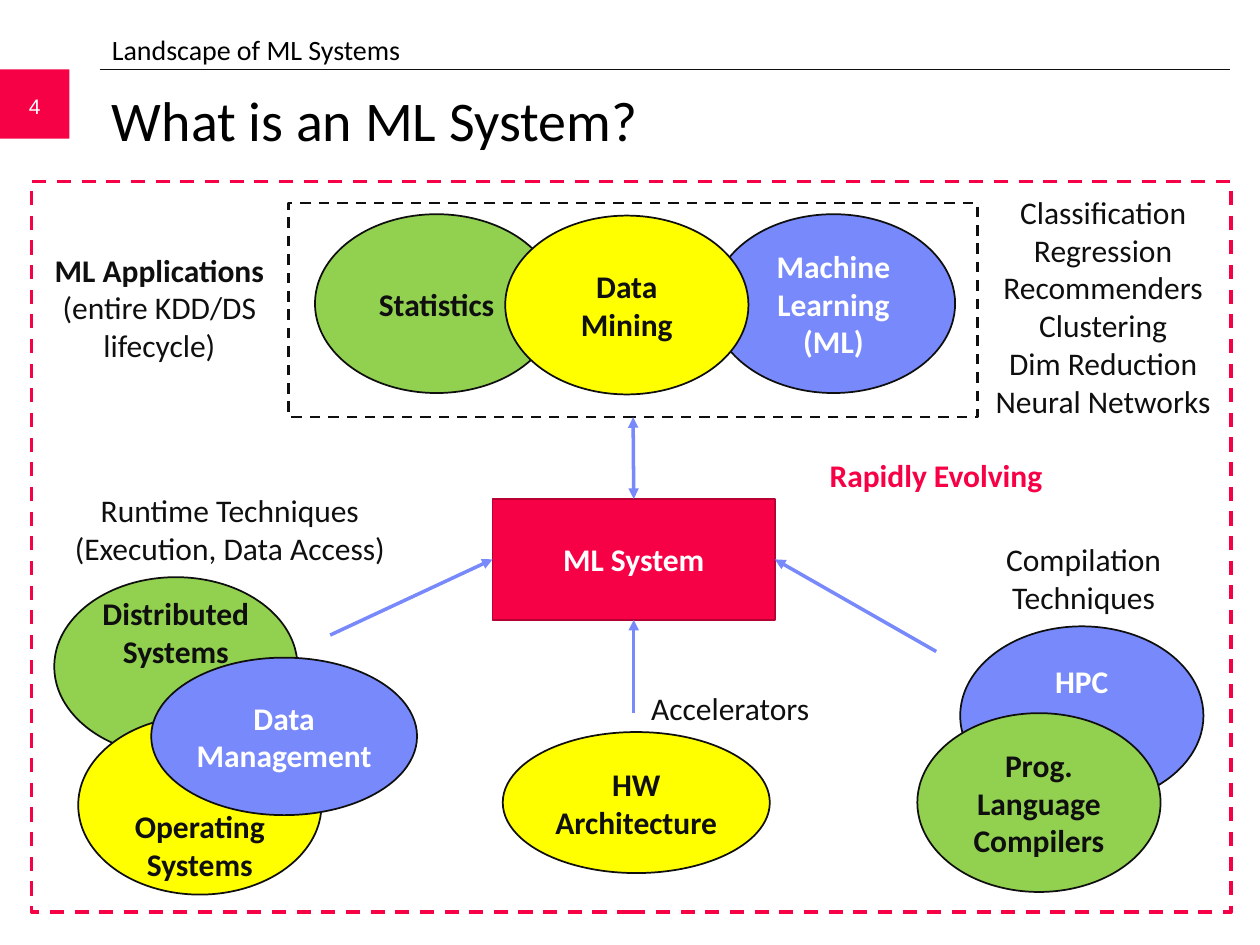
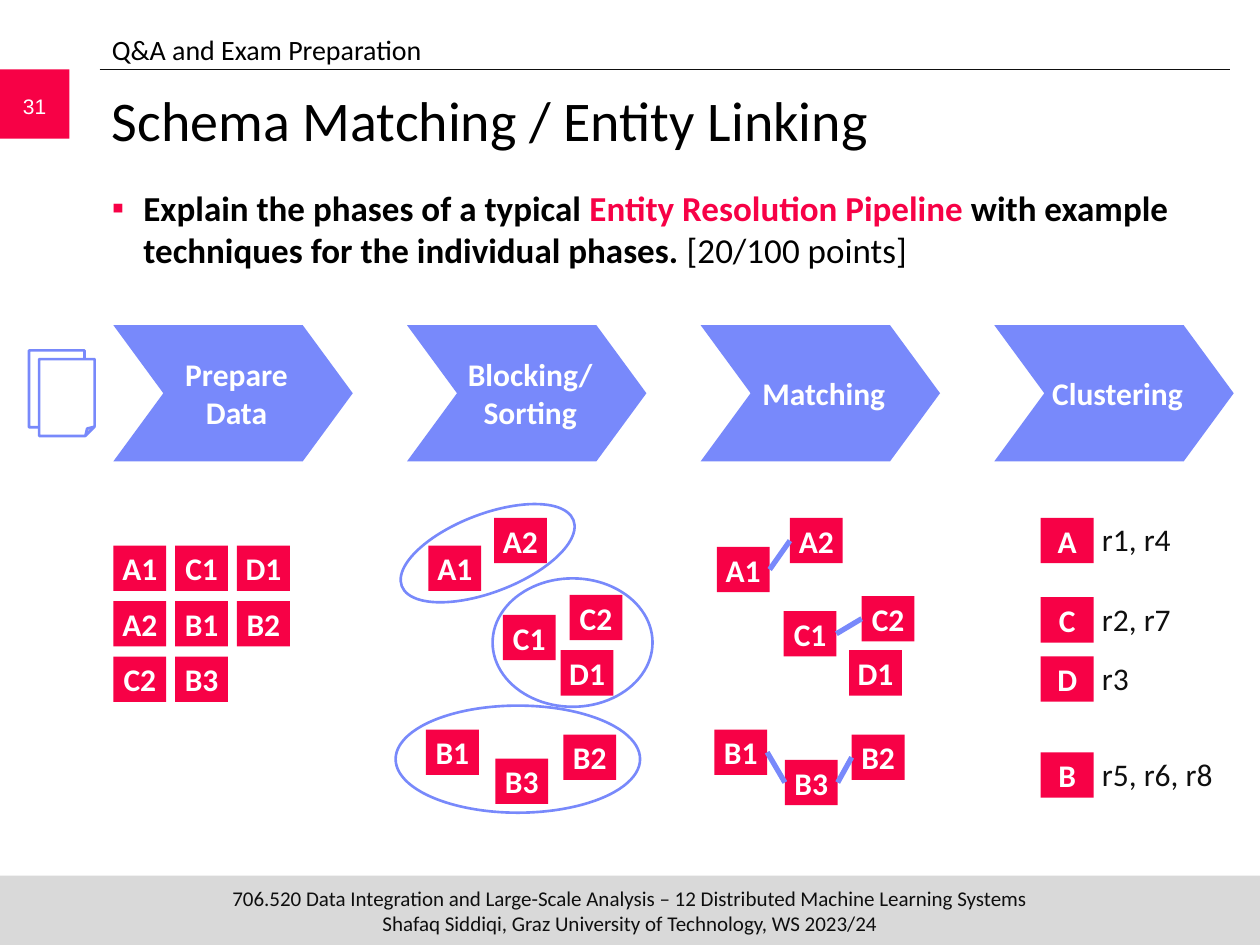
from collections import namedtuple

from lxml.etree import SubElement
from pptx import Presentation
from pptx.dml.color import RGBColor
from pptx.enum.dml import MSO_LINE
from pptx.enum.shapes import MSO_CONNECTOR, MSO_SHAPE
from pptx.enum.text import MSO_ANCHOR, PP_ALIGN
from pptx.oxml.ns import qn
from pptx.util import Pt

COLORS = {
    "red": "F70146", "dark_red": "B70134", "blue": "7889FB", "green": "92D050",
    "yellow": "FFFF00", "ink": "0F0F0F", "black": "000000", "white": "FFFFFF",
    "band": "D9D9D9",
}
FONT = "Calibri"
TOP, BOTTOM, LEFT, RIGHT = 0, 2, 1, 3
FOOTER = ("706.520 Data Integration and Large-Scale Analysis – 12 Distributed Machine Learning Systems\n"
          "Shafaq Siddiqi, Graz University of Technology, WS 2023/24")
OVAL = (139, 102.2)
CHIP = (30.2, 25.9)


class Box(namedtuple("Box", "x y w h")):
    def sub(self, x, y, w, h):
        return Box(self.x + x, self.y + y, w, h)

    def points(self):
        return [Pt(value) for value in self]


def rgb(name):
    return RGBColor.from_string(COLORS[name])


def write(shape, text, size=18, color="ink", bold=False, align=PP_ALIGN.CENTER,
          anchor=MSO_ANCHOR.MIDDLE, insets=(7.2, 3.6, 7.2, 3.6), font=FONT):
    frame = shape.text_frame
    frame.word_wrap = True
    frame.vertical_anchor = anchor
    (frame.margin_left, frame.margin_top,
     frame.margin_right, frame.margin_bottom) = [Pt(inset) for inset in insets]
    frame.text = text
    for paragraph in frame.paragraphs:
        paragraph.alignment = align
        paragraph.font.name = font
        paragraph.font.size = Pt(size)
        paragraph.font.bold = bold
        paragraph.font.color.rgb = rgb(color)
    return frame


def add_label(slide, box, text, **style):
    style.setdefault("anchor", MSO_ANCHOR.TOP)
    return write(slide.shapes.add_textbox(*box.points()), text, **style)


def add_figure(slide, kind, box, fill=None, line=None, width=1, dashed=False):
    figure = slide.shapes.add_shape(kind, *box.points())
    figure.shadow.inherit = False
    if fill:
        figure.fill.solid()
        figure.fill.fore_color.rgb = rgb(fill)
    else:
        figure.fill.background()
    if line:
        figure.line.color.rgb = rgb(line)
        figure.line.width = Pt(width)
        if dashed:
            figure.line.dash_style = MSO_LINE.DASH
    else:
        figure.line.fill.background()
    return figure


def add_line(slide, start=(0, 0), end=(0, 0), color="blue", width=2, joins=(None, None), heads=()):
    line = slide.shapes.add_connector(MSO_CONNECTOR.STRAIGHT, *[Pt(v) for v in (*start, *end)])
    line.line.color.rgb = rgb(color)
    line.line.width = Pt(width)
    for join, connect in zip(joins, (line.begin_connect, line.end_connect)):
        if join:
            connect(*join)
    properties = line._element.spPr
    for head in heads:
        SubElement(properties.find(qn("a:ln")), qn("a:" + head), type="triangle")
    SubElement(properties, qn("a:effectLst"))


def add_topic(slide, box, text, fill, insets=(0, 3.6, 0, 3.6)):
    oval = add_figure(slide, MSO_SHAPE.OVAL, box, fill, "ink")
    write(oval, text, color="white" if fill == "blue" else "ink", bold=True, insets=insets)


def add_chip(slide, box, x, y, text):
    chip = add_figure(slide, MSO_SHAPE.RECTANGLE, box.sub(x, y, *CHIP), "red")
    write(chip, text, color="white", bold=True, insets=(0, 0, 0, 0))
    return chip


def add_header(slide, box, section, title, number):
    add_line(slide, (box.x + 56.9, box.y + 39.6), (box.x + 702.7, box.y + 39.6), "ink", 0.5)
    badge = add_figure(slide, MSO_SHAPE.RECTANGLE, box.sub(0, 39.6, 39.6, 39.6), "red")
    write(badge, number, 12, "white", insets=(0, 2, 0, 0), font="Arial")
    add_label(slide, box.sub(56.9, 15.1, 648, 25.9), section, size=16, color="black", align=PP_ALIGN.LEFT)
    add_label(slide, box.sub(56.9, 45.4, 645.1, 59.8), title, size=32, color="black", align=PP_ALIGN.LEFT)


def add_footer(slide, box):
    band = add_figure(slide, MSO_SHAPE.RECTANGLE, box, "band")
    write(band, FOOTER, 12, insets=(0, 0, 0, 0))


def add_applications(slide, box):
    fields = add_figure(slide, MSO_SHAPE.RECTANGLE, box.sub(147.6, 9.4, 393.8, 122.4),
                        line="ink", width=1.5, dashed=True)
    for text, x, y, fill in (("Machine Learning (ML)", 389.5, 15.8, "blue"),
                             ("Statistics", 162.7, 15.8, "green"),
                             ("Data Mining", 271.4, 16.6, "yellow")):
        add_topic(slide, box.sub(x, y, *OVAL), text, fill, (7.2, 3.6, 7.2, 3.6))
    lifecycle = add_label(slide, box.sub(0, 33.1, 147.6, 72.7),
                          "ML Applications\n(entire KDD/DS lifecycle)")
    lifecycle.paragraphs[0].font.bold = True
    add_label(slide, box.sub(540, 0, 146.2, 138.2),
              "Classification\nRegression\nRecommenders\nClustering\nDim Reduction\nNeural Networks")
    return fields


def add_system(slide, box, fields):
    system = add_figure(slide, MSO_SHAPE.RECTANGLE, box, "red", "dark_red")
    write(system, "ML System", color="white", bold=True)
    add_line(slide, joins=((system, TOP), (fields, BOTTOM)), heads=("headEnd", "tailEnd"))
    add_label(slide, box.sub(185, -28.1, 136.8, 28.8), "Rapidly Evolving", color="red", bold=True)
    return system


def add_feed(slide, box, x, y, system, side):
    start = (box.x + x, box.y + y)
    add_line(slide, start, start, joins=(None, (system, side)), heads=("tailEnd",))


def add_compilation(slide, box, system):
    add_topic(slide, box.sub(24.5, 52.6, *OVAL), "HPC", "blue", (0, 0, 0, 40))
    add_topic(slide, box.sub(0, 102.2, *OVAL), "Prog. Language Compilers", "green")
    add_feed(slide, box, 10.8, 67, system, RIGHT)
    add_label(slide, box.sub(10.8, 0, 168.5, 51.1), "Compilation\nTechniques")


def add_runtime(slide, box, system):
    add_topic(slide, box.sub(6.5, 52.6, *OVAL), "Distributed Systems", "green", (0, 0, 0, 40))
    add_topic(slide, box.sub(20.2, 131.8, *OVAL), "Operating Systems", "yellow", (0, 45, 0, 0))
    add_topic(slide, box.sub(61.9, 98.6, 151.9, 90), "Data Management", "blue")
    add_feed(slide, box, 164.2, 85.7, system, LEFT)
    add_label(slide, box.sub(0, 0, 213.8, 51.1), "Runtime Techniques\n(Execution, Data Access)")


def add_accelerators(slide, box, system):
    add_topic(slide, box.sub(0, 28.1, 152.6, 80.6), "HW Architecture", "yellow", (0, 0, 0, 0))
    add_feed(slide, box, 74.85, 17.3, system, BOTTOM)
    add_label(slide, box.sub(64.8, 0, 130.3, 28.8), "Accelerators")


def add_question(slide, box):
    frame = add_label(slide, box, "", size=20, align=PP_ALIGN.LEFT)
    question = frame.paragraphs[0]
    properties = question._p.get_or_add_pPr()
    for child in list(properties):
        properties.remove(child)
    properties.set("marL", str(Pt(18)))
    properties.set("indent", str(-Pt(18)))
    SubElement(SubElement(properties, qn("a:buClr")), qn("a:srgbClr"), val=COLORS["red"])
    SubElement(properties, qn("a:buFont"), typeface="Arial")
    SubElement(properties, qn("a:buChar"), char="▪")
    question.font.name = FONT
    question.font.size = Pt(20)
    for text, color, bold in (("Explain the phases of a typical ", "black", True),
                              ("Entity Resolution Pipeline", "red", True),
                              (" with example techniques for the individual phases. ", "black", True),
                              ("[20/100 points]", "black", False)):
        run = question.add_run()
        run.text = text
        run.font.bold = bold
        run.font.color.rgb = rgb(color)


def add_pipeline(slide, box):
    for x, y in ((0, 14.4), (5.8, 19.4)):
        add_figure(slide, MSO_SHAPE.FOLDED_CORNER, box.sub(x, y, 31.7, 43.9), "white", "blue", 1.5)
    for index, phase in enumerate(("Prepare Data", "Blocking/Sorting", "Matching", "Clustering")):
        chevron = add_figure(slide, MSO_SHAPE.CHEVRON,
                             box.sub(48.2 + 167.8 * index, 0, 136.8, 77.8), "blue")
        chevron.adjustments[0] = 0.367
        write(chevron, phase, color="white", bold=True, insets=(4, 3.6, 0, 3.6))


def add_records(slide, box):
    for row, records in enumerate(("A1 C1 D1", "A2 B1 B2", "C2 B3")):
        for column, record in enumerate(records.split()):
            add_chip(slide, box, 35.3 * column, 31.7 * row, record)


def add_blocks(slide, box):
    for record, x, y in (("A1", 18.7, 18), ("A2", 56.2, 2.2), ("C1", 61.2, 57.6), ("D1", 94.3, 77.8),
                         ("B1", 17.3, 123.1), ("B2", 95.8, 126), ("C2", 99.4, 46.1), ("B3", 56.9, 139.7)):
        add_chip(slide, box, x, y, record)
    for x, y, w, h, angle in ((0, 109.4, 139.7, 61.2, 0), (55.4, 36.7, 91.4, 73.4, 0),
                              (0, 0, 105.1, 44.6, 339)):
        block = add_figure(slide, MSO_SHAPE.OVAL, box.sub(x, y, w, h), line="blue", width=1.5)
        block.rotation = angle


def add_matches(slide, box):
    places = {"A1": (1.4, 18.7), "A2": (43.2, 2.2), "C1": (39.6, 55.4), "D1": (77, 77.8),
              "B1": (0, 123.1), "B2": (78.5, 126), "C2": (84.2, 46.8), "B3": (40.3, 140.4)}
    chips = {record: add_chip(slide, box, *place, record) for record, place in places.items()}
    for first, second in (("A1", "A2"), ("C1", "C2"), ("B3", "B2"), ("B1", "B3")):
        add_line(slide, width=3, joins=((chips[first], RIGHT), (chips[second], LEFT)))


def add_clusters(slide, box):
    for cluster, members, y in (("A", "r1, r4", 1.4), ("C", "r2, r7", 46.8),
                                ("D", "r3", 80.6), ("B", "r5, r6, r8", 135.4)):
        add_chip(slide, box, 0, y, cluster)
        add_label(slide, box.sub(35, y - 2.2, 77, 29.5), members,
                  align=PP_ALIGN.LEFT, insets=(0, 3.6, 0, 3.6))


def build_landscape(slide, page):
    add_header(slide, page, "Landscape of ML Systems", "What is an ML System?", "4")
    add_figure(slide, MSO_SHAPE.RECTANGLE, page.sub(18, 103.7, 685.4, 417.6),
               line="red", width=2, dashed=True)
    fields = add_applications(slide, page.sub(17.3, 106.6, 686.2, 138.2))
    system = add_system(slide, page.sub(281.5, 285.1, 161.3, 69.1), fields)
    add_compilation(slide, page.sub(524.2, 305.3, 179.3, 204.4), system)
    add_runtime(slide, page.sub(24.5, 277.2, 213.8, 234), system)
    add_accelerators(slide, page.sub(287.3, 390.2, 195.1, 108.7), system)


def build_matching(slide, page):
    add_header(slide, page, "Q&A and Exam Preparation", "Schema Matching / Entity Linking", "31")
    add_footer(slide, page.sub(0, 500.4, 720, 39.6))
    add_question(slide, page.sub(56.9, 103, 645.1, 388.8))
    add_pipeline(slide, page.sub(16.6, 185.8, 688.4, 77.8))
    add_records(slide, page.sub(64.8, 311.8, 100.8, 89.3))
    add_blocks(slide, page.sub(226.1, 293.8, 146.8, 170.6))
    add_matches(slide, page.sub(408.2, 293.8, 114.4, 166.3))
    add_clusters(slide, page.sub(594.7, 294.5, 112, 162.7))


def main():
    deck = Presentation()
    page = Box(0, 0, 720, 540)
    deck.slide_width, deck.slide_height = Pt(page.w), Pt(page.h)
    for build in (build_landscape, build_matching):
        build(deck.slides.add_slide(deck.slide_layouts[6]), page)
    deck.save("out.pptx")


if __name__ == "__main__":
    main()
